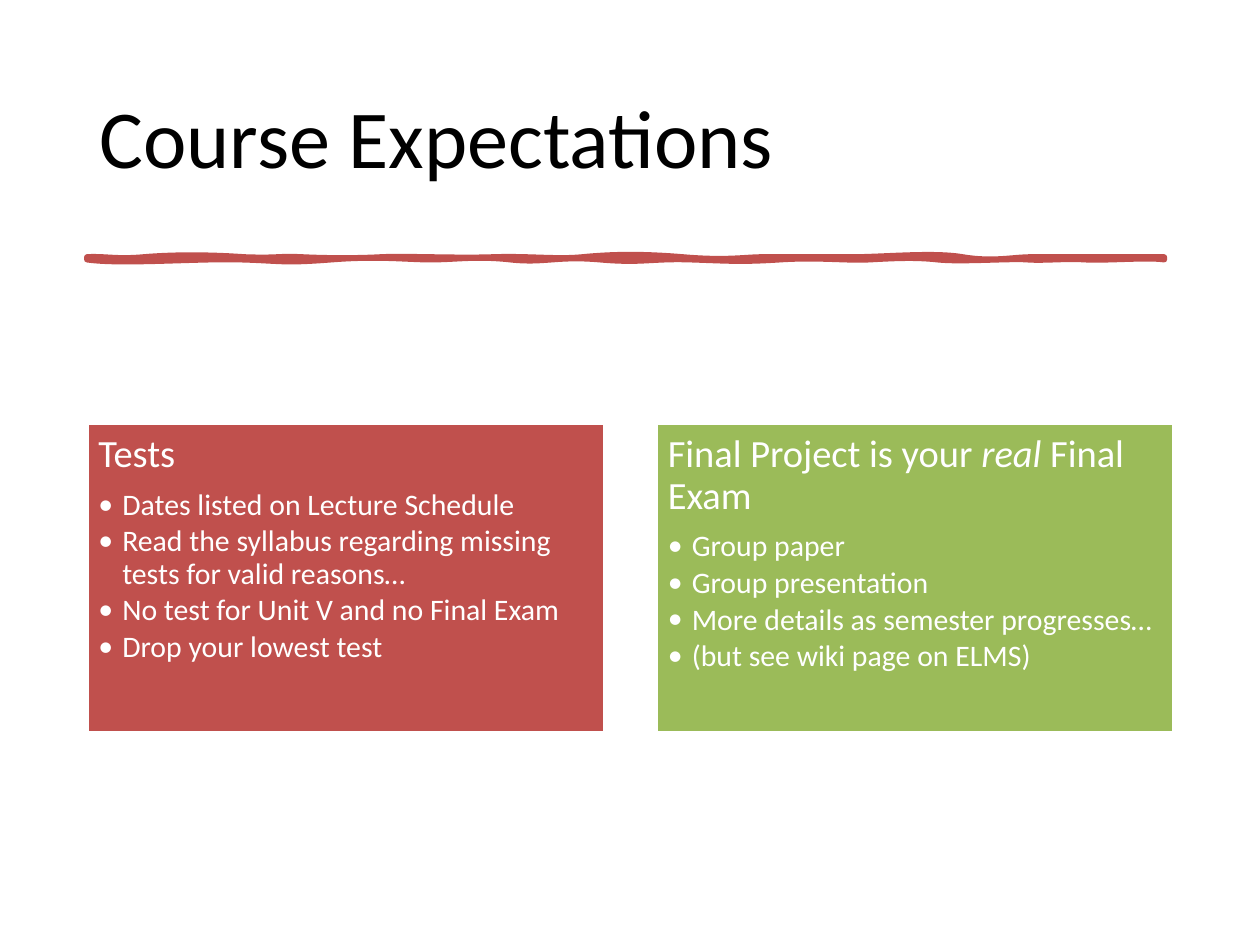
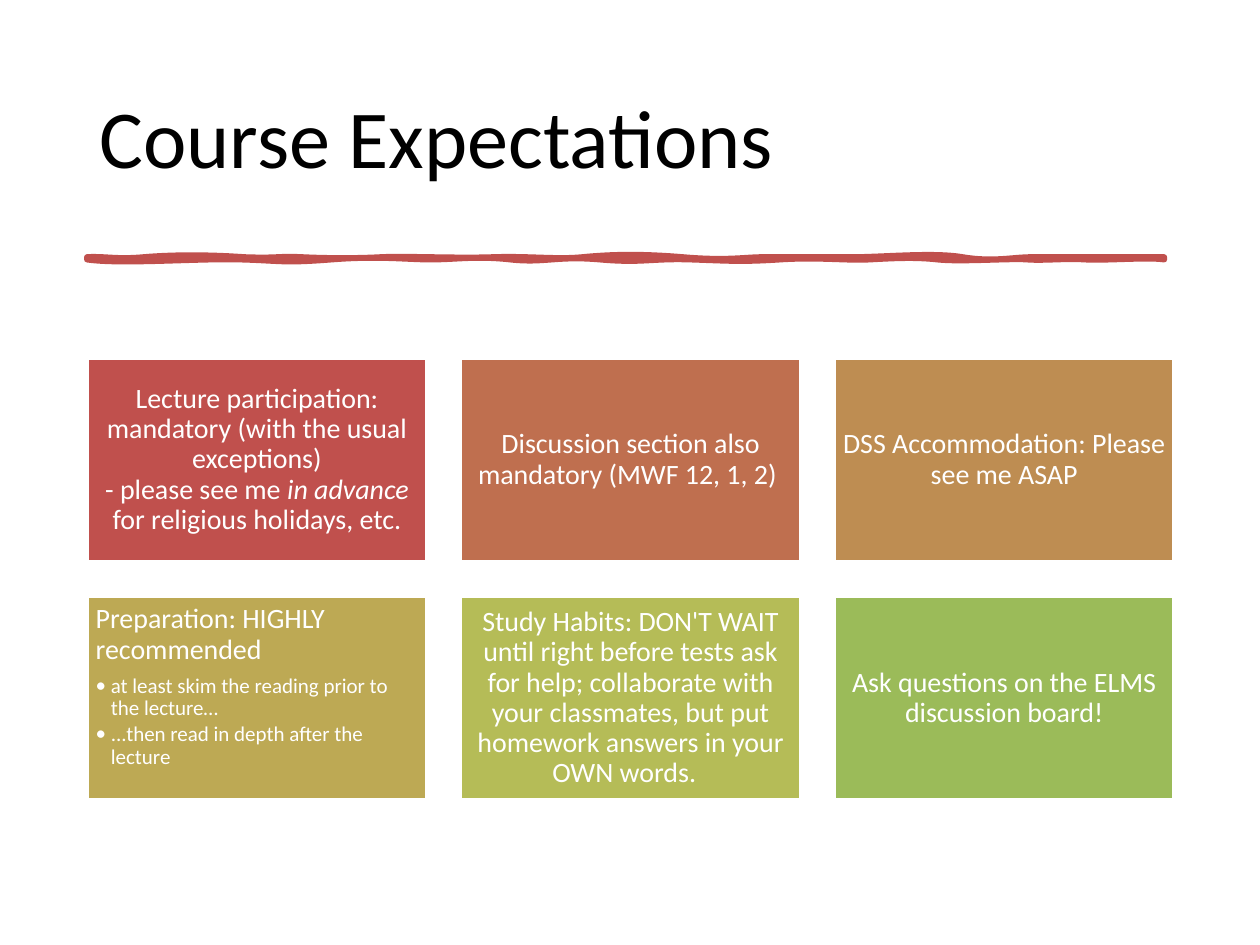
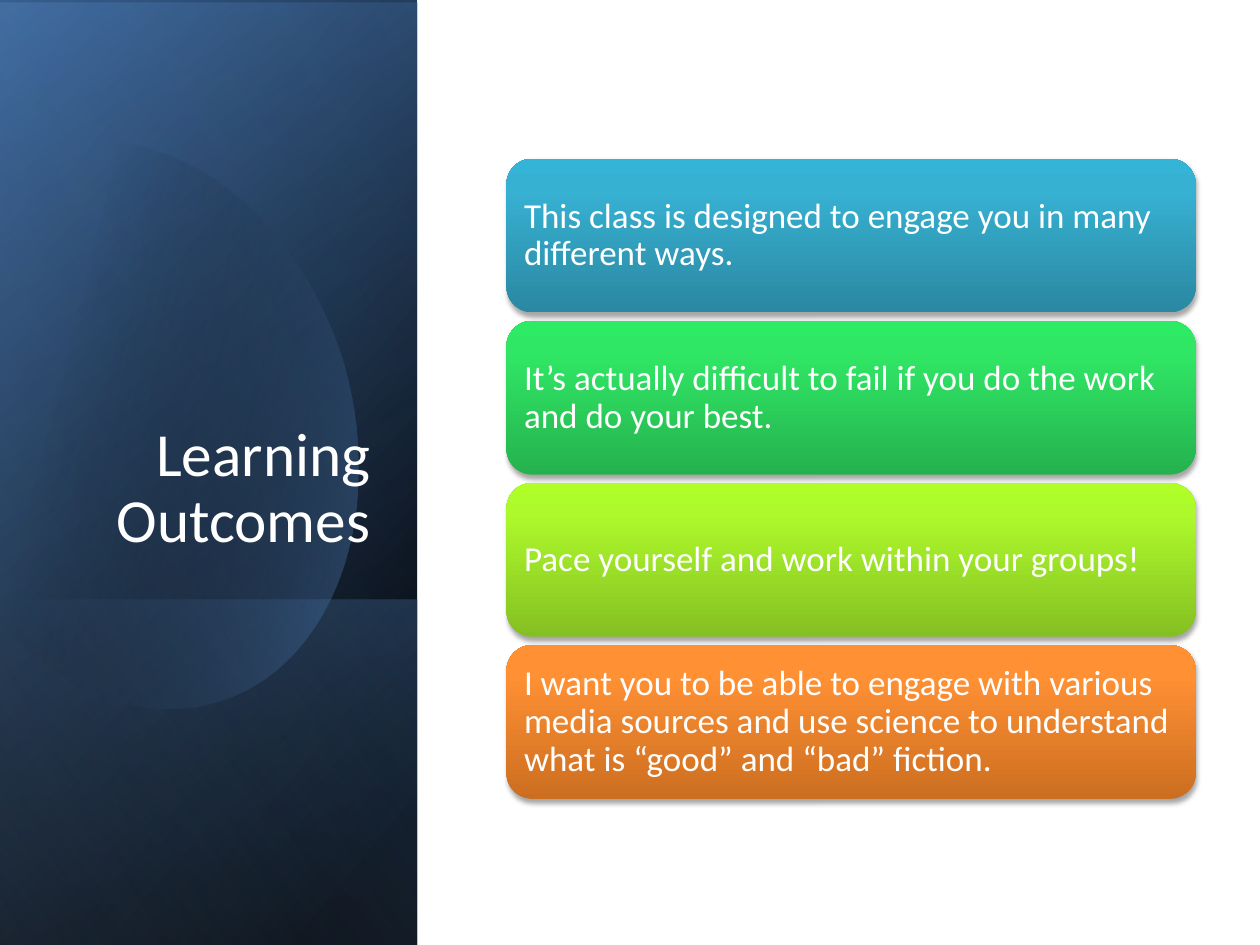
import copy

import lxml.etree
import pptx
import pptx.dml.color
import pptx.enum.shapes
import pptx.enum.text
import pptx.oxml
import pptx.oxml.ns
import pptx.util

Inches, Pt = pptx.util.Inches, pptx.util.Pt
SHAPE = pptx.enum.shapes.MSO_SHAPE
ALIGN = pptx.enum.text.PP_ALIGN
ANCHOR = pptx.enum.text.MSO_ANCHOR
qn, nsdecls = pptx.oxml.ns.qn, pptx.oxml.ns.nsdecls
rgb = pptx.dml.color.RGBColor.from_string

FONT = "Calibri"
BLACK, WHITE, RED, GREEN, BLUE = "000000", "FFFFFF", "C0504D", "9BBB59", "4F81BD"
HEADING_GAP, BULLET_GAP = 0.35, 0.15  # space after, as a share of the text size

# Outlines: a start point, then Bezier segments (control, control, end)
WAVE = [
    (0.69, 2.04),
    (0.82, 2.03, 0.92, 2.06, 1.14, 2.04), (1.37, 2.02, 1.66, 2.02, 1.94, 2.04),
    (2.22, 2.05, 2.2, 2.03, 2.4, 2.04), (2.6, 2.05, 2.84, 2.05, 3.02, 2.04),
    (3.2, 2.03, 3.62, 2.05, 3.91, 2.04), (4.2, 2.03, 4.42, 2.06, 4.62, 2.04),
    (4.83, 2.02, 5.06, 2.01, 5.42, 2.04), (5.77, 2.07, 5.91, 2.04, 6.05, 2.04),
    (6.18, 2.04, 6.5, 2.04, 6.76, 2.04), (7.01, 2.04, 7.41, 2, 7.64, 2.04),
    (7.88, 2.08, 8.04, 2.04, 8.18, 2.04), (8.32, 2.04, 8.78, 2.04, 9.24, 2.04),
    (9.24, 2.05, 9.24, 2.05, 9.24, 2.06), (9.11, 2.04, 8.77, 2.07, 8.61, 2.06),
    (8.45, 2.05, 8.29, 2.07, 8.15, 2.06), (8.02, 2.05, 7.62, 2.08, 7.44, 2.06),
    (7.26, 2.04, 7.09, 2.05, 6.9, 2.06), (6.72, 2.07, 6.5, 2.04, 6.19, 2.06),
    (5.88, 2.08, 5.78, 2.07, 5.48, 2.06), (5.17, 2.05, 5.1, 2.09, 4.76, 2.06),
    (4.42, 2.03, 4.32, 2.09, 4.05, 2.06), (3.78, 2.03, 3.62, 2.06, 3.42, 2.06),
    (3.22, 2.06, 3.01, 2.03, 2.63, 2.06), (2.24, 2.09, 2.25, 2.07, 1.91, 2.06),
    (1.57, 2.05, 0.96, 2.1, 0.69, 2.06), (0.69, 2.05, 0.69, 2.05, 0.69, 2.04)]
OVAL = [
    (0.96, 1.14),
    (1.71, 1.22, 2.44, 1.92, 2.73, 2.9), (3.07, 4.12, 2.62, 5.31, 1.71, 5.57),
    (1.14, 5.74, 0.53, 5.5, 0.07, 5), (0.07, 5, -0.03, 4.88, -0.03, 4.88),
    (-0.03, 4.88, -0.25, 1.66, -0.25, 1.66), (-0.25, 1.66, -0.15, 1.54, -0.15, 1.54),
    (0.02, 1.37, 0.22, 1.25, 0.45, 1.18), (0.62, 1.13, 0.79, 1.12, 0.96, 1.14)]


def add_paragraph(tf, text, size, color=WHITE, align=ALIGN.LEFT, gap=0, indent=0):
    """Add a paragraph; *stars* mark italics and an indent makes it a bullet."""
    p = tf.add_paragraph() if tf.paragraphs[0].runs else tf.paragraphs[0]
    if indent:
        p.level = 1
        pPr = p._p.get_or_add_pPr()
        pPr.set("marL", str(Inches(indent)))
        pPr.set("indent", str(-Inches(indent)))
        lxml.etree.SubElement(pPr, qn("a:buFont")).set("typeface", FONT)
        lxml.etree.SubElement(pPr, qn("a:buChar")).set("char", "•")
    p.alignment, p.line_spacing, p.space_after = align, 0.9, Pt(gap * size)
    for i, piece in enumerate(text.split("*")):
        for j, line in enumerate(piece.split("\n")):
            if j:
                p._p.add_br().append(copy.deepcopy(r._r.get_or_add_rPr()))
            r = p.add_run()
            r.text = line
            r.font.name, r.font.size = FONT, Pt(size)
            r.font.color.rgb = rgb(color)
            if i % 2:
                r.font.italic = True


def add_outline(s, outline):
    """Build a freeform through the end points, then bend its sides into curves."""
    start, *segments = outline
    fb = s.shapes.build_freeform(Inches(start[0]), Inches(start[1]))
    fb.add_line_segments([(Inches(seg[4]), Inches(seg[5])) for seg in segments], close=True)
    sp = fb.convert_to_shape()
    for side, seg in zip(list(sp._element.iter(qn("a:lnTo"))), segments):
        curve = lxml.etree.Element(qn("a:cubicBezTo"))
        for x, y in zip(seg[::2], seg[1::2]):
            pt = lxml.etree.SubElement(curve, qn("a:pt"))
            pt.set("x", str(Inches(x) - sp.left))
            pt.set("y", str(Inches(y) - sp.top))
        side.getparent().replace(side, curve)
    return sp


prs = pptx.Presentation()
prs.slide_width, prs.slide_height = Inches(10), Inches(7.5)
blank = prs.slide_layouts[6]

# Slides 1 and 2: title, wavy rule and a grid of cards (fill, heading, bullets)
expectations = [
    {"columns": 2, "top": 3.36, "size": (4.11, 2.46), "pitch": (4.52, 0),
     "heading": 22, "bullet": 17, "inset": 0.09, "indent": 0.19,
     "cards": [
         (RED, "Tests", ["Dates listed on Lecture Schedule",
                         "Read the syllabus regarding missing tests for valid reasons…",
                         "No test for Unit V and no Final Exam",
                         "Drop your lowest test"]),
         (GREEN, "Final Project is your *real* Final Exam",
          ["Group paper", "Group presentation",
           "More details as semester progresses…", "(but see wiki page on ELMS)"]),
     ]},
    {"columns": 3, "top": 2.84, "size": (2.7, 1.62), "pitch": ((6.62 - 0.69) / 2, 1.89),
     "heading": 16, "bullet": 12, "inset": 0.07, "indent": 0.12,
     "cards": [
         (RED, "Lecture participation: mandatory (with the usual exceptions)\n"
               "- please see me *in advance *for religious holidays, etc.", []),
         ("BF6F4F", "Discussion section also mandatory (MWF 12, 1, 2) ", []),
         ("BE8D52", "DSS Accommodation: Please see me ASAP", []),
         ("BDA954", "Preparation: HIGHLY recommended",
          ["at least skim the reading prior to the lecture…",
           "...then read in depth after the lecture"]),
         ("B5BC57", "Study Habits: DON'T WAIT until right before tests ask for help; "
                    "collaborate with your classmates, but put homework answers in "
                    "your OWN words.  ", []),
         (GREEN, "Ask questions on the ELMS discussion board!", []),
     ]},
]
for grid in expectations:
    s = prs.slides.add_slide(blank)
    tf = s.shapes.add_textbox(Inches(0.69), Inches(0.4), Inches(8.62), Inches(1.45)).text_frame
    tf.word_wrap, tf.vertical_anchor = True, ANCHOR.MIDDLE
    add_paragraph(tf, "Course Expectations", 47, BLACK)

    sp = add_outline(s, WAVE)
    sp.shadow.inherit = False
    sp.fill.solid()
    sp.fill.fore_color.rgb = sp.line.color.rgb = rgb(RED)
    sp.line.width = Pt(3.25)

    for i, (fill, heading, bullets) in enumerate(grid["cards"]):
        row, col = divmod(i, grid["columns"])
        w, h = grid["size"]
        dx, dy = grid["pitch"]
        sp = s.shapes.add_shape(SHAPE.RECTANGLE, Inches(0.69 + col * dx),
                                Inches(grid["top"] + row * dy), Inches(w), Inches(h))
        sp.shadow.inherit = False
        sp.fill.solid()
        sp.fill.fore_color.rgb = rgb(fill)
        sp.line.color.rgb = rgb(WHITE)
        sp.line.width = Pt(2)
        tf = sp.text_frame
        tf.word_wrap = True
        tf.vertical_anchor = ANCHOR.TOP if bullets else ANCHOR.MIDDLE
        tf.margin_left = tf.margin_right = tf.margin_top = tf.margin_bottom = Inches(grid["inset"])
        add_paragraph(tf, heading, grid["heading"], gap=HEADING_GAP,
                      align=ALIGN.LEFT if bullets else ALIGN.CENTER)
        for bullet in bullets:
            add_paragraph(tf, bullet, grid["bullet"], gap=BULLET_GAP, indent=grid["indent"])

# Slide 3: layered side panel, title and outcome cards
s = prs.slides.add_slide(blank)
gradients = []  # shape, (position, colour, opacity) stops in percent, angle
PANEL = 3.31
layers = [  # length and bottom of a panel turned by 90 degrees, stops, angle
    (7.5, 7.5, [(8, BLACK, 100), (100, "376092", 100)], 50),
    (7.5, 7.52, [(0, BLACK, 0), (99, BLUE, 46)], 30),
    (2.74, 7.5, [(2, BLUE, 29), (100, BLACK, 30)], 130),
    (0, 0, [(29, BLACK, 0), (100, BLUE, 43)], 14),  # the oval
    (7.5, 7.5, [(0, BLACK, 0), (99, "95B3D7", 11)], 120),
]
for length, bottom, stops, angle in layers:
    if length:
        sp = s.shapes.add_shape(SHAPE.RECTANGLE, Inches((PANEL - length) / 2),
                                Inches(bottom - (length + PANEL) / 2),
                                Inches(length), Inches(PANEL))
        sp.rotation = 90
        sp._element.spPr.find(qn("a:xfrm")).set("flipH", "1")
    else:
        sp = add_outline(s, OVAL)
    gradients.append((sp, stops, angle))

tf = s.shapes.add_textbox(Inches(0.48), Inches(1.84), Inches(2.56), Inches(2.62)).text_frame
tf.word_wrap, tf.vertical_anchor = True, ANCHOR.BOTTOM
add_paragraph(tf, "Learning Outcomes", 35, align=ALIGN.RIGHT)

outcomes = [
    (("2A88A2", "37B1D2", "34B4D6"),
     "This class is designed to engage you in many different ways."),
    (("25B24E", "30E765", "2DEB64"),
     "It’s actually difficult to fail if you do the work and do your best."),
    (("85C022", "ADF92C", "AFFE28"),
     "Pace yourself and work within your groups!"),
    (("CC6E20", "FF9034", "FF9136"),
     "I want you to be able to engage with various media sources and use science "
     "to understand what is “good” and “bad” fiction."),
]
pitch = (5.12 - 1.26) / (len(outcomes) - 1)
for i, (colors, text) in enumerate(outcomes):
    sp = s.shapes.add_shape(SHAPE.ROUNDED_RECTANGLE, Inches(4.02), Inches(1.26 + i * pitch),
                            Inches(5.47), Inches(1.22))
    gradients.append((sp, [(pos, color, 100) for pos, color in zip((0, 80, 100), colors)], 270))
    sp.shadow.inherit = False
    sp._element.spPr.find(qn("a:effectLst")).append(pptx.oxml.parse_xml(
        f'<a:outerShdw blurRad="{Pt(3.1)}" dist="{Pt(1.8)}" dir="5400000" rotWithShape="0" '
        f'{nsdecls("a")}><a:srgbClr val="{BLACK}"><a:alpha val="35000"/></a:srgbClr>'
        '</a:outerShdw>'))
    tf = sp.text_frame
    tf.word_wrap, tf.vertical_anchor = True, ANCHOR.MIDDLE
    tf.margin_left = tf.margin_right = tf.margin_top = tf.margin_bottom = Inches(0.08)
    add_paragraph(tf, text, 20, gap=HEADING_GAP)

for sp, stops, angle in gradients:
    gs = "".join(
        f'<a:gs pos="{pos * 1000}"><a:srgbClr val="{color}">'
        f'<a:alpha val="{opacity * 1000}"/></a:srgbClr></a:gs>'
        for pos, color, opacity in stops)
    sp.fill.background()
    spPr = sp._element.spPr
    spPr.replace(spPr.find(qn("a:noFill")), pptx.oxml.parse_xml(
        f'<a:gradFill rotWithShape="1" {nsdecls("a")}><a:gsLst>{gs}</a:gsLst>'
        f'<a:lin ang="{angle * 60000}" scaled="0"/></a:gradFill>'))
    sp.line.fill.background()
    if spPr.find(qn("a:effectLst")) is None:
        sp.shadow.inherit = False

prs.save("out.pptx")
